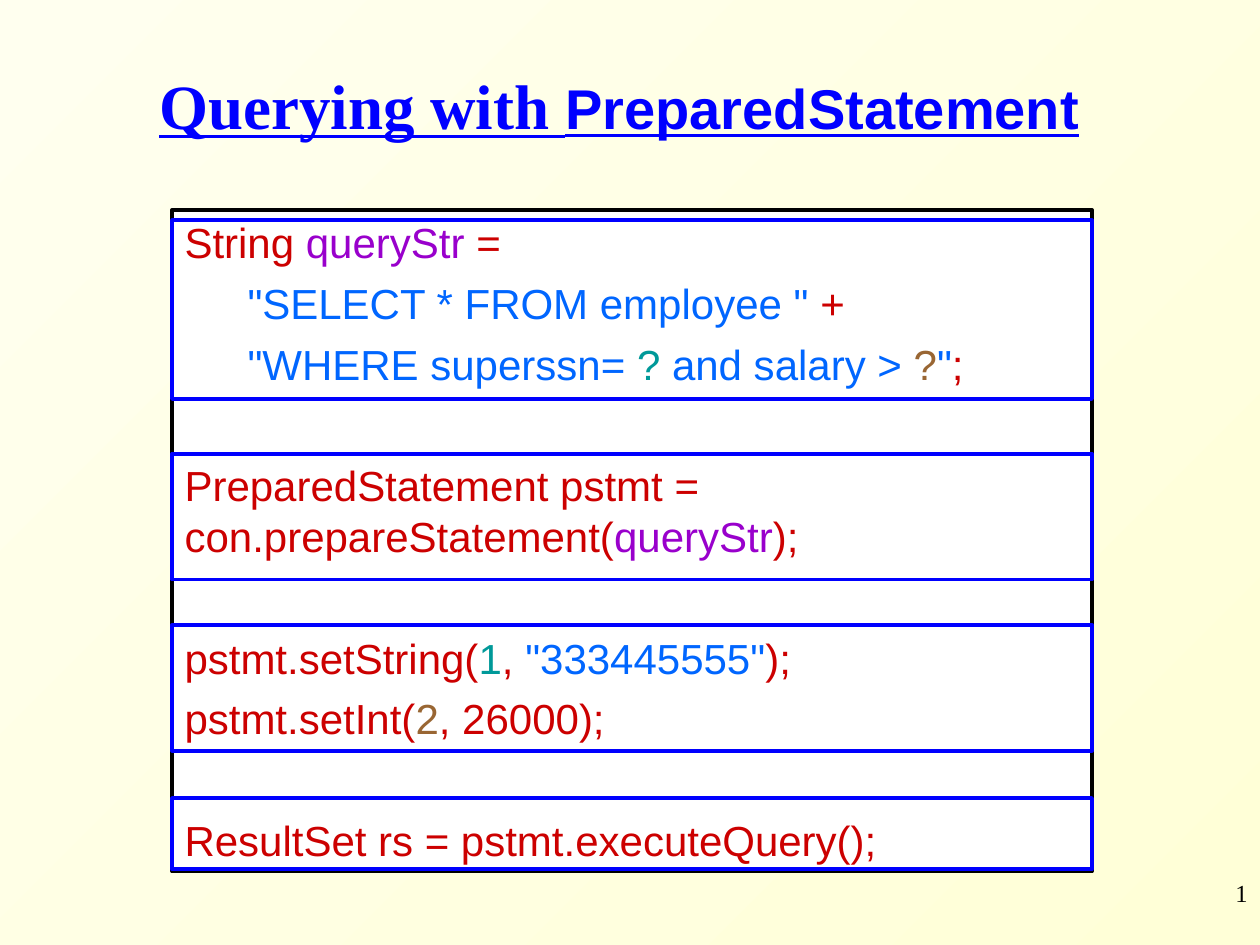
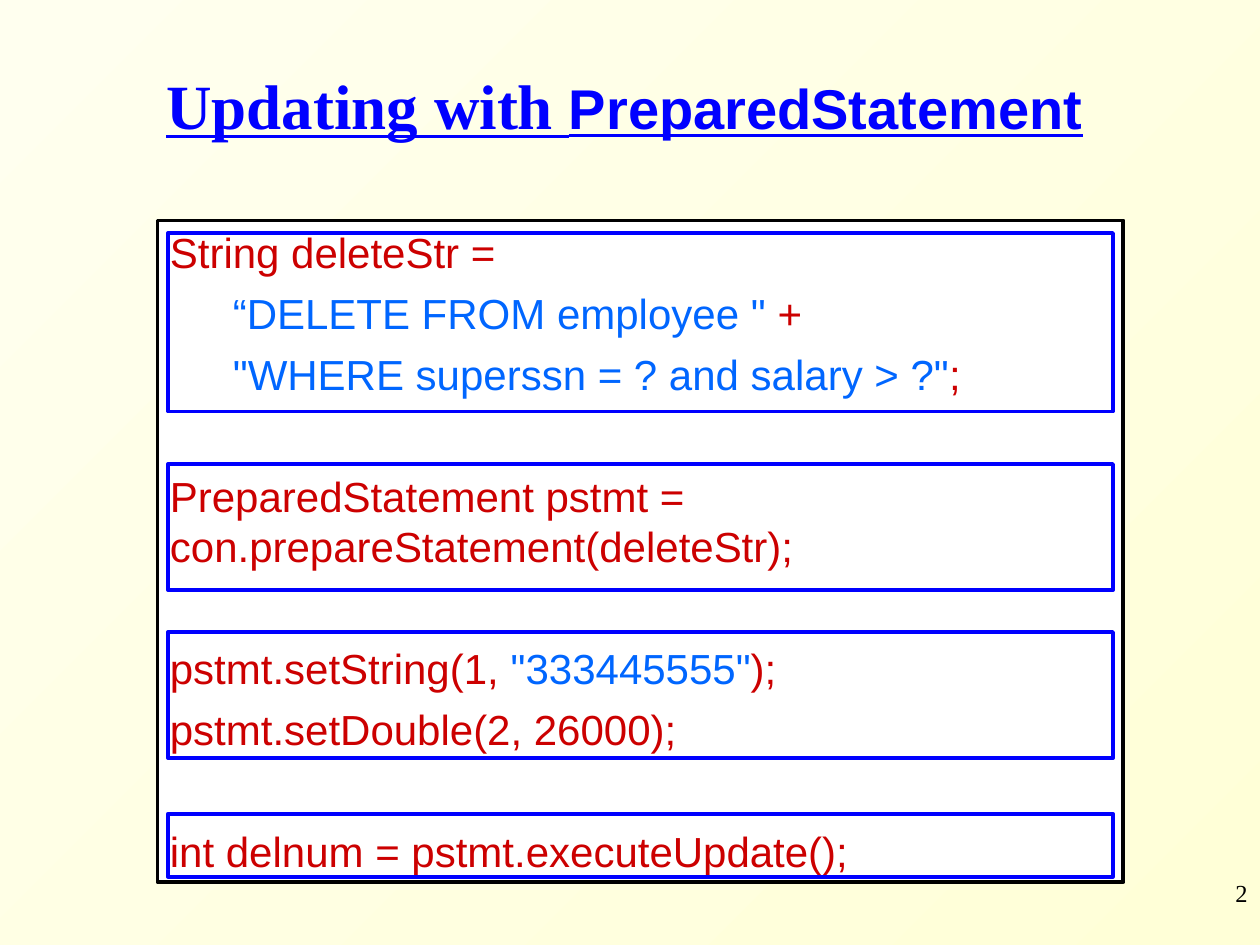
from pptx import Presentation
from pptx.dml.color import RGBColor
from pptx.enum.shapes import MSO_SHAPE
from pptx.enum.text import MSO_ANCHOR, MSO_AUTO_SIZE, PP_ALIGN
from pptx.oxml import parse_xml
from pptx.oxml.ns import nsdecls
from pptx.util import Inches, Pt

COLORS = {
    "cream": "FFFFEF", "butter": "FFFFD7", "white": "FFFFFF", "black": "000000",
    "blue": "0000FF", "code": "CC0000", "string": "0066FF", "variable": "9900CC",
    "first": "009999", "second": "996633",
}
SERIF, SANS = "Times New Roman", "Arial"
COLUMNS, ROWS = 120, 90
LINE, GAP = 28.8, 6


def rgb(name):
    return RGBColor.from_string(COLORS[name])


class Deck:
    def __init__(self):
        self.prs = Presentation()
        self.prs.slide_width, self.prs.slide_height = Inches(10), Inches(7.5)
        fill = self.prs.slide_master.background.fill
        fill.gradient()
        fill.gradient_angle = 315
        for stop, name in zip(fill.gradient_stops, ("cream", "butter")):
            stop.color.rgb = rgb(name)

    def box(self, x, y, w, h):
        col = self.prs.slide_width / COLUMNS
        row = self.prs.slide_height / ROWS
        return int(x * col), int(y * row), int(w * col), int(h * row)

    def run(self, p, text, size, font, color, strong=False):
        r = p.add_run()
        r.text = text
        r.font.size, r.font.name = Pt(size), font
        r.font.color.rgb = rgb(color)
        if strong:
            r.font.bold = r.font.underline = True

    def slide(self, verb, area):
        self.s = self.prs.slides.add_slide(self.prs.slide_layouts[5])
        sp = self.s.shapes.title
        sp.left, sp.top, sp.width, sp.height = self.box(*area)
        tf = sp.text_frame
        tf.auto_size = MSO_AUTO_SIZE.NONE
        tf.vertical_anchor = MSO_ANCHOR.MIDDLE
        p = tf.paragraphs[0]
        p.alignment, p.line_spacing = PP_ALIGN.CENTER, 0.85
        self.run(p, f"{verb} with ", 36, SERIF, "blue", True)
        self.run(p, "PreparedStatement", 32, SANS, "blue", True)

    def number(self, value):
        tf = self.s.shapes.add_textbox(*self.box(95, 83, 25, 6)).text_frame
        tf.word_wrap = True
        p = tf.paragraphs[0]
        p.alignment = PP_ALIGN.RIGHT
        p._p.append(parse_xml(
            f'<a:fld {nsdecls("a")} id="{{B6F15528-21DE-4FAA-801E-634DDDAF4B2B}}" type="slidenum">'
            f'<a:rPr sz="1400"><a:solidFill><a:srgbClr val="{COLORS["black"]}"/></a:solidFill>'
            f'<a:latin typeface="{SERIF}"/></a:rPr><a:t>{value}</a:t></a:fld>'))

    def rect(self, area, line, fill=None):
        sp = self.s.shapes.add_shape(MSO_SHAPE.RECTANGLE, *self.box(*area))
        sp.shadow.inherit = False
        sp.line.color.rgb, sp.line.width = rgb(line), Pt(2.25)
        if fill:
            sp.fill.solid()
            sp.fill.fore_color.rgb = rgb(fill)
        else:
            sp.fill.background()
        return sp

    def code(self, area, blocks):
        tf = self.rect(area, "black", "white").text_frame
        tf.word_wrap, tf.vertical_anchor = True, MSO_ANCHOR.TOP
        p = tf.paragraphs[0]
        for b, block in enumerate(blocks):
            for n, line in enumerate(block):
                if b or n:
                    p = tf.add_paragraph()
                p.alignment, p.line_spacing = PP_ALIGN.LEFT, Pt(LINE)
                p.space_before = Pt(LINE + 2 * GAP if b and not n else GAP)
                if line[0][1] == "string":
                    p._p.get_or_add_pPr().set("marL", str(Inches(0.5)))
                for text, color in line:
                    self.run(p, text, 24, SANS, color)

    def outlines(self, x, w, spans):
        for y, h in spans:
            self.rect((x, y, w, h), "blue")


def main():
    deck = Deck()

    deck.slide("Querying", (6, 5, 106, 11))
    deck.number(16)
    deck.code((16.4, 20, 87.6, 63), [
        [[("String ", "code"), ("queryStr ", "variable"), ("=", "code")],
         [('"SELECT * FROM employee " ', "string"), ("+", "code")],
         [('"WHERE superssn= ', "string"), ("? ", "first"), ("and salary > ", "string"),
          ("?", "second"), ('"', "string"), (";", "code")]],
        [[("PreparedStatement pstmt = con.prepareStatement(", "code"),
          ("queryStr", "variable"), (");", "code")]],
        [[("pstmt.setString(", "code"), ("1", "first"), (", ", "code"),
          ('"333445555"', "string"), (");", "code")],
         [("pstmt.setInt(", "code"), ("2", "second"), (", 26000);", "code")]],
        [[("ResultSet rs = pstmt.executeQuery();", "code")]],
    ])
    deck.outlines(16.4, 87.6, [(21, 17), (43.2, 12), (59.5, 12), (76, 6.8)])

    deck.slide("Updating", (12, 5, 95, 11))
    deck.number(17)
    deck.code((15, 21, 92, 63), [
        [[("String deleteStr =", "code")],
         [('“DELETE FROM employee " ', "string"), ("+", "code")],
         [('"WHERE superssn = ? and salary > ?"', "string"), (";", "code")]],
        [[("PreparedStatement pstmt = con.prepareStatement(deleteStr);", "code")]],
        [[("pstmt.setString(1, ", "code"), ('"333445555"', "string"), (");", "code")],
         [("pstmt.setDouble(2, 26000);", "code")]],
        [[("int delnum = pstmt.executeUpdate();", "code")]],
    ])
    deck.outlines(16, 90, [(22.2, 17), (44.2, 12), (60.2, 12), (77.5, 6)])

    deck.prs.save("out.pptx")


if __name__ == "__main__":
    main()
